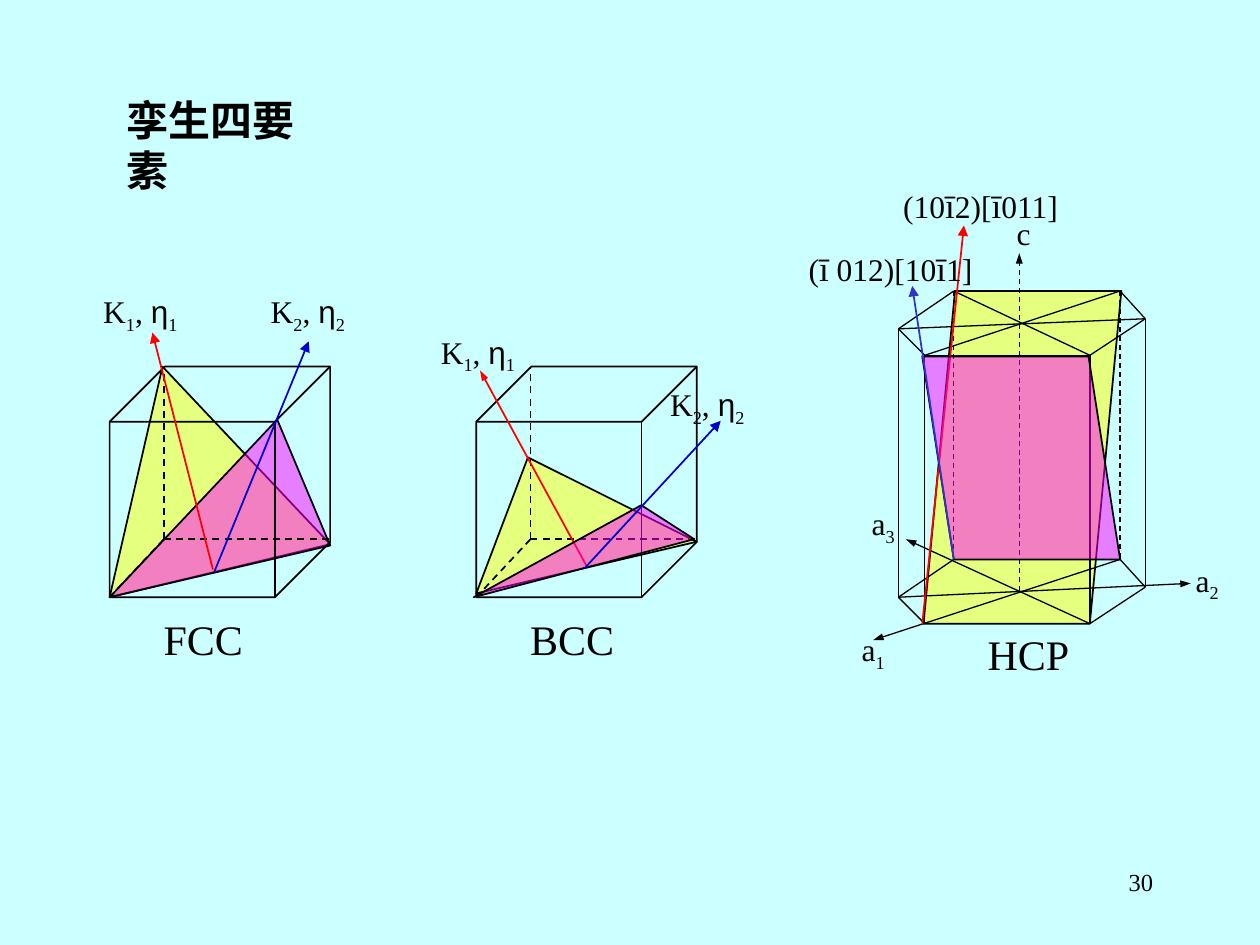
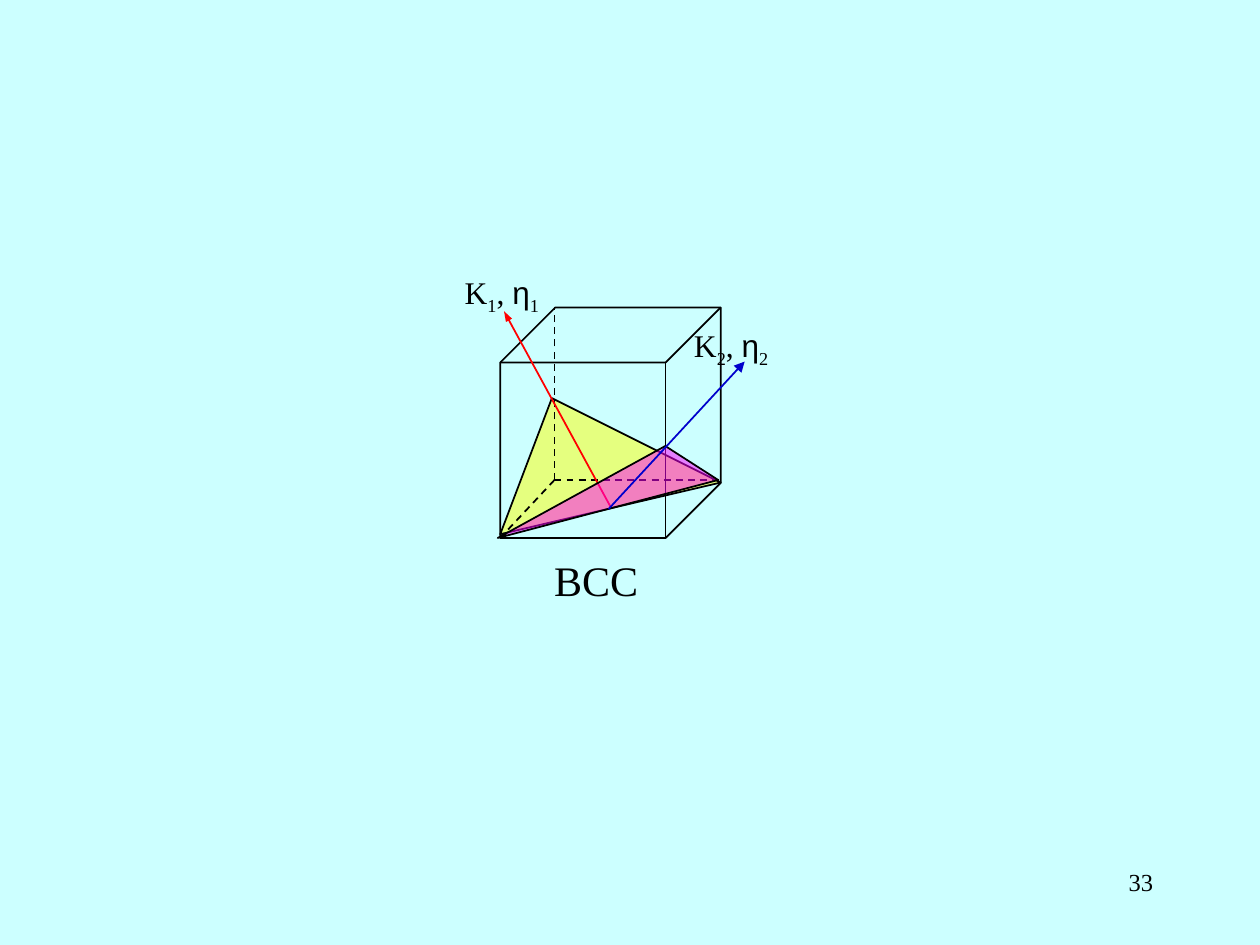
from dataclasses import dataclass
from itertools import groupby

from lxml.etree import SubElement
from pptx import Presentation
from pptx.dml.color import RGBColor
from pptx.enum.dml import MSO_LINE
from pptx.enum.shapes import MSO_CONNECTOR, MSO_SHAPE
from pptx.enum.text import PP_ALIGN
from pptx.oxml.ns import qn
from pptx.util import Inches, Pt


@dataclass(frozen=True)
class Theme:
    background: str = "CCFFFF"
    ink: str = "000000"
    k1_plane: str = "FFFF00"
    k2_plane: str = "FF00FF"
    k1_arrow: str = "FF0000"
    k2_arrow: str = "0000CC"
    hcp_arrow: str = "3333CC"
    font: str = "Times New Roman"
    greek_font: str = "Arial"
    heading: int = 24
    label: int = 18
    barred: int = 20
    number: int = 14
    edge: float = 1
    thin: float = 0.75


THEME = Theme()


def rgb(code):
    return RGBColor.from_string(code)


def styled_chars(text, size):
    """Yield each character with its style; an underscore lowers the next one."""
    lowered = False
    for char in text:
        if char == "_":
            lowered = True
            continue
        font = THEME.greek_font if char == "η" else THEME.font
        yield char, (font, THEME.barred if char == "ī" else size, lowered)
        lowered = False


def add_text(shapes, text, left, top, width=0.92, height=0.44, *,
             size=THEME.label, bold=False, align=PP_ALIGN.LEFT, wrap=True):
    box = shapes.add_textbox(Inches(left), Inches(top), Inches(width), Inches(height))
    box.text_frame.word_wrap = wrap
    paragraph = box.text_frame.paragraphs[0]
    paragraph.alignment = align
    for style, chars in groupby(styled_chars(text, size), key=lambda item: item[1]):
        font_name, points, lowered = style
        run = paragraph.add_run()
        run.text = "".join(char for char, _ in chars)
        run.font.name, run.font.size = font_name, Pt(points)
        run.font.bold = bold
        run.font.color.rgb = rgb(THEME.ink)
        if lowered:
            run.font._element.set("baseline", "-25000")


class Crystal:
    """A group of parts placed relative to the left top corner of a cell."""

    def __init__(self, slide, left, top):
        self.shapes = slide.shapes.add_group_shape().shapes
        self.left, self.top = left, top

    def at(self, point):
        return Inches(self.left + point[0]), Inches(self.top + point[1])

    def line(self, start, end, *, color=THEME.ink, width=THEME.edge,
             dashed=False, arrow=None):
        connector = self.shapes.add_connector(
            MSO_CONNECTOR.STRAIGHT, *self.at(start), *self.at(end))
        connector.line.color.rgb = rgb(color)
        connector.line.width = Pt(width)
        if dashed:
            connector.line.dash_style = MSO_LINE.DASH
        properties = connector._element.spPr
        if arrow:
            SubElement(properties.find(qn("a:ln")), qn("a:tailEnd"),
                       type="triangle", w=arrow, len="med")
        SubElement(properties, qn("a:effectLst"))

    def plane(self, color, *corners):
        builder = self.shapes.build_freeform(*self.at(corners[0]))
        builder.add_line_segments([self.at(corner) for corner in corners[1:]], close=True)
        plane = builder.convert_to_shape()
        plane.shadow.inherit = False
        plane.fill.solid()
        plane.fill.fore_color.rgb = rgb(color)
        SubElement(plane._element.spPr.find(qn("a:solidFill"))[0],
                   qn("a:alpha"), val="50000")
        plane.line.color.rgb = rgb(THEME.ink)
        plane.line.width = Pt(THEME.edge)

    def text(self, text, left, top, *args, **style):
        add_text(self.shapes, text, self.left + left, self.top + top, *args, **style)

    def name(self, text, left, top):
        self.text(text, left, top, 0.92, 0.5, size=THEME.heading)

    def cube(self, name):
        """Cube, its three hidden edges and the name below."""
        cube = self.shapes.add_shape(
            MSO_SHAPE.CUBE, *self.at((0, 0)), Inches(1.75), Inches(1.83))
        cube.shadow.inherit = False
        cube.fill.background()
        cube.line.color.rgb = rgb(THEME.ink)
        cube.line.width = Pt(THEME.edge)
        hidden_corner = (0.43, 1.37)
        for corner in ((0.43, 0), (1.75, 1.37), (0, 1.83)):
            self.line(hidden_corner, corner, dashed=True)
        self.name(name, 0.33, 1.91)


def draw_fcc(slide, left, top):
    fcc = Crystal(slide, left, top)
    fcc.plane(THEME.k1_plane, (0.42, 0), (0, 1.83), (1.75, 1.41))
    fcc.plane(THEME.k2_plane, (1.33, 0.42), (0, 1.83), (1.75, 1.42))
    fcc.cube("FCC")
    fcc.line((0.82, 1.61), (0.34, -0.27), color=THEME.k1_arrow, arrow="med")
    fcc.text("K_1, η_1", -0.15, -0.64)
    fcc.line((0.83, 1.63), (1.58, -0.2), color=THEME.k2_arrow, arrow="med")
    fcc.text("K_2, η_2", 1.18, -0.64)


def draw_bcc(slide, left, top):
    bcc = Crystal(slide, left, top)
    bcc.plane(THEME.k1_plane, (0, 1.8), (0.41, 0.72), (1.75, 1.39))
    bcc.cube("BCC")
    bcc.line((0.88, 1.59), (0.03, 0.03), color=THEME.k1_arrow, arrow="sm")
    bcc.plane(THEME.k2_plane, (1.31, 1.1), (-0.02, 1.83), (1.73, 1.37))
    bcc.line((0.86, 1.6), (1.94, 0.43), color=THEME.k2_arrow, arrow="med")
    bcc.text("K_1, η_1", -0.38, -0.32, 0.8, wrap=False)
    bcc.text("K_2, η_2", 1.44, 0.1, 0.8, wrap=False)


def draw_hcp(slide, left, top):
    hcp = Crystal(slide, left, top)
    height = 2.13
    # Corners run clockwise from the back left one
    upper = [(0.44, 0), (1.76, 0), (1.96, 0.22), (1.52, 0.51), (0.21, 0.51), (0, 0.3)]
    lower = [(x, y + height) for x, y in upper]

    hcp.text("(10ī2)[ī011]", -0.06, -0.9, 1.43, wrap=False)
    hcp.plane(THEME.k1_plane, (0.2, 2.64), (0.45, 0), (1.77, 0), (1.52, 2.64))

    # Prism: two hexagons and the uprights, the back two hidden
    for hexagon in (upper, lower):
        for start, end in zip(hexagon, hexagon[1:] + hexagon[:1]):
            hcp.line(start, end, width=THEME.thin)
    for index, (start, end) in enumerate(zip(upper, lower)):
        hcp.line(start, end, width=THEME.thin, dashed=index < 2)

    # Diagonals above, crystal axes below
    for start, end in zip(upper[:3], upper[3:]):
        hcp.line(start, end, width=THEME.thin)
    axes = ((lower[5], (2.32, 2.32)), (lower[3], (0.06, 1.97)), (lower[1], (-0.2, 2.77)))
    for start, end in axes:
        hcp.line(start, end, width=THEME.thin, arrow="sm")
    hcp.line((0.96, 2.38), (0.96, -0.3), width=THEME.thin, dashed=True, arrow="sm")
    for axis, x, y in (("c", 0.84, -0.66), ("a_1", -0.39, 2.64),
                       ("a_2", 2.26, 2.09), ("a_3", -0.31, 1.64)):
        hcp.text(axis, x, y, 0.5)

    # Twinning directions and the second plane
    hcp.line((0.19, 2.64), (0.52, -0.52), color=THEME.k1_arrow, arrow="med")
    hcp.plane(THEME.k2_plane, (0.44, 2.13), (1.76, 2.13), (1.51, 0.52), (0.19, 0.52))
    hcp.line((0.44, 2.13), (0.11, -0.04), color=THEME.hcp_arrow, arrow="med")
    hcp.text("(ī 012)[10ī1]", -0.81, -0.4, 1.5, wrap=False)
    hcp.name("HCP", 0.61, 2.63)


def new_slide(deck, number):
    slide = deck.slides.add_slide(deck.slide_layouts[6])
    add_text(slide.shapes, number, 7.17, 6.83, 2.08, 0.5,
             size=THEME.number, align=PP_ALIGN.RIGHT)
    return slide


def main():
    deck = Presentation()
    deck.slide_width, deck.slide_height = Inches(10), Inches(7.5)
    background = deck.slide_master.background.fill
    background.solid()
    background.fore_color.rgb = rgb(THEME.background)

    # Twinning elements in three lattices
    elements = new_slide(deck, "30")
    draw_fcc(elements, 0.87, 2.91)
    draw_bcc(elements, 3.78, 2.91)
    draw_hcp(elements, 7.13, 2.31)
    add_text(elements.shapes, "孪生四要素", 0.91, 0.7, 1.86, 0.5,
             size=THEME.heading, bold=True, wrap=False)

    # The BCC lattice alone
    draw_bcc(new_slide(deck, "33"), 3.97, 2.44)

    deck.save("out.pptx")


if __name__ == "__main__":
    main()
